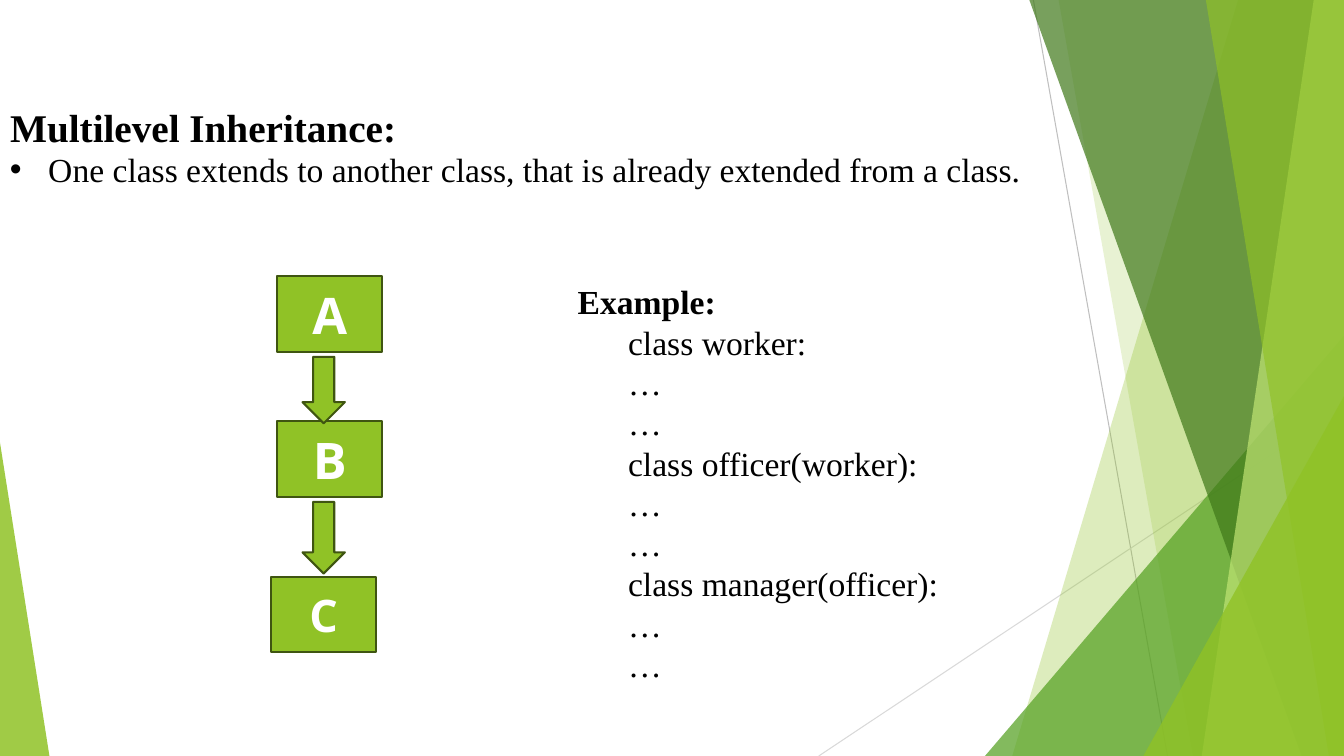
"""Build the multilevel inheritance slide, with lengths as percentages of its size."""
from dataclasses import dataclass

from lxml.etree import SubElement
from pptx import Presentation
from pptx.dml.color import RGBColor
from pptx.enum.shapes import MSO_CONNECTOR, MSO_SHAPE
from pptx.enum.text import MSO_ANCHOR, MSO_AUTO_SIZE, PP_ALIGN
from pptx.oxml.ns import qn
from pptx.util import Inches, Pt

WIDTH, HEIGHT = Inches(13.33), Inches(7.5)


@dataclass(frozen=True)
class Theme:
    leaf: str = "90C226"
    grass: str = "54A021"
    forest: str = "3F7819"
    lime: str = "C0E474"
    outline: str = "3F5511"
    ink: str = "000000"
    paper: str = "FFFFFF"
    serif: str = "Times New Roman"
    sans: str = "Noto Sans"
    heading: int = 28
    body: int = 24
    letter: int = 36
    small_letter: int = 32
    hairline: float = 0.75
    border: float = 1.5


@dataclass(frozen=True)
class Area:
    left: float
    top: float
    width: float
    height: float

    def emu(self) -> tuple:
        return (across(self.left), down(self.top), across(self.width), down(self.height))


@dataclass(frozen=True)
class Ray:
    start: tuple
    end: tuple
    color: str


@dataclass(frozen=True)
class Facet:
    top_x: float
    bottom_x: float
    color: str
    opacity: int


@dataclass(frozen=True)
class Wedge:
    area: Area
    peak: float
    color: str
    opacity: int


@dataclass(frozen=True)
class ClassBox:
    letter: str
    left: float
    top: float
    size: int


THEME = Theme()
RAYS = (
    Ray((76.89, 0), (86.87, 100), "BFBFBF"),
    Ray((100, 53.73), (60.92, 100), "D9D9D9"),
)
BACKDROP = (
    Facet(92.12, 75.32, THEME.leaf, 30),
    Facet(78.77, 88.75, THEME.leaf, 20),
    Wedge(Area(73.29, 44.4, 26.71, 55.6), 1, THEME.grass, 72),
    Facet(76.59, 96.85, THEME.forest, 70),
    Facet(97.75, 89.42, THEME.lime, 70),
    Facet(89.72, 98.87, THEME.leaf, 65),
    Wedge(Area(85.07, 52.4, 14.93, 47.6), 1, THEME.leaf, 80),
    Wedge(Area(0, 58.53, 3.68, 41.47), 0, THEME.leaf, 85),
)
CLASS_BOXES = (
    ClassBox("A", 20.63, 36.53, THEME.letter),
    ClassBox("B", 20.63, 55.73, THEME.letter),
    ClassBox("C", 20.18, 76.27, THEME.small_letter),
)
ARROWS = (Area(22.51, 47.2, 3.15, 8.8), Area(22.51, 66.4, 3.15, 9.47))
EXAMPLE_CLASSES = ("class worker:", "class officer(worker):", "class manager(officer):")


def across(share: float) -> int:
    """Turn a percentage of the slide width into a length."""
    return round(WIDTH * share / 100)


def down(share: float) -> int:
    """Turn a percentage of the slide height into a length."""
    return round(HEIGHT * share / 100)


def write(paragraph, text: str, size: int, bold: bool = False,
          font: str = THEME.serif, color: str = THEME.ink) -> None:
    """Add one formatted run to a paragraph."""
    run = paragraph.add_run()
    run.text = text
    run.font.name, run.font.size, run.font.bold = font, Pt(size), bold
    run.font.color.rgb = RGBColor.from_string(color)


def paint(shape, color: str, opacity: int = 100, outlined: bool = False) -> None:
    """Give a shape its fill, opacity and border."""
    shape.shadow.inherit = False
    shape.fill.solid()
    shape.fill.fore_color.rgb = RGBColor.from_string(color)
    if opacity < 100:
        tint = shape._element.spPr.find(f".//{qn('a:srgbClr')}")
        SubElement(tint, qn("a:alpha"), val=str(opacity * 1000))
    if outlined:
        shape.line.color.rgb = RGBColor.from_string(THEME.outline)
        shape.line.width = Pt(THEME.border)
    else:
        shape.line.fill.background()


def draw_ray(slide, ray: Ray) -> None:
    """Draw a thin backdrop line."""
    (x1, y1), (x2, y2) = ray.start, ray.end
    line = slide.shapes.add_connector(
        MSO_CONNECTOR.STRAIGHT, across(x1), down(y1), across(x2), down(y2))
    line.line.color.rgb = RGBColor.from_string(ray.color)
    line.line.width = Pt(THEME.hairline)
    SubElement(line._element.spPr, qn("a:effectLst"))


def draw_backdrop(slide, part: Facet | Wedge) -> None:
    """Draw a translucent facet or wedge."""
    if isinstance(part, Facet):
        outline = slide.shapes.build_freeform(across(part.top_x), 0)
        outline.add_line_segments(
            [(WIDTH, 0), (WIDTH, HEIGHT), (across(part.bottom_x), HEIGHT)])
        shape = outline.convert_to_shape()
    else:
        shape = slide.shapes.add_shape(MSO_SHAPE.ISOSCELES_TRIANGLE, *part.area.emu())
        shape.adjustments[0] = part.peak
    paint(shape, part.color, part.opacity)


def draw_class_box(slide, box: ClassBox) -> None:
    """Draw one lettered class of the hierarchy."""
    shape = slide.shapes.add_shape(
        MSO_SHAPE.RECTANGLE, *Area(box.left, box.top, 7.8, 10).emu())
    paint(shape, THEME.leaf, outlined=True)
    shape.text_frame.vertical_anchor = MSO_ANCHOR.MIDDLE
    paragraph = shape.text_frame.paragraphs[0]
    paragraph.alignment = PP_ALIGN.CENTER
    write(paragraph, box.letter, box.size, True, THEME.sans, THEME.paper)


def draw_arrow(slide, area: Area) -> None:
    """Draw an arrow between two classes."""
    paint(slide.shapes.add_shape(MSO_SHAPE.DOWN_ARROW, *area.emu()), THEME.leaf, outlined=True)


def add_heading(slide) -> None:
    """Fill the title and the bulleted definition below it."""
    title = slide.shapes.title
    title.left, title.top, title.width, title.height = Area(0, 13.6, 75, 6).emu()
    frame = title.text_frame
    frame.auto_size, frame.vertical_anchor = MSO_AUTO_SIZE.NONE, MSO_ANCHOR.TOP
    frame.margin_top = frame.margin_bottom = 0
    frame.paragraphs[0].alignment = PP_ALIGN.LEFT
    write(frame.paragraphs[0], "Multilevel Inheritance:", THEME.heading, True)

    definition = slide.shapes.add_textbox(*Area(0, 19.05, 81, 7).emu()).text_frame
    definition.word_wrap = True
    bullet = definition.paragraphs[0]
    properties = bullet._p.get_or_add_pPr()
    properties.set("marL", str(Inches(0.38)))
    properties.set("indent", str(-Inches(0.38)))
    SubElement(properties, qn("a:buFont"), typeface="Arial")
    SubElement(properties, qn("a:buChar"), char="•")
    write(bullet, "One class extends to another class, that is already extended from a class.",
          THEME.body)


def add_example(slide) -> None:
    """Write the indented class example."""
    frame = slide.shapes.add_textbox(*Area(42.24, 36.53, 38.71, 60.53).emu()).text_frame
    frame.word_wrap = True
    write(frame.paragraphs[0], "Example:", THEME.body, True)
    for declaration in EXAMPLE_CLASSES:
        for text in (declaration, "…", "…"):
            paragraph = frame.add_paragraph()
            paragraph.level = 1
            paragraph._p.get_or_add_pPr().set("marL", str(Inches(0.5)))
            write(paragraph, text, THEME.body)


def main() -> None:
    """Assemble and save the slide."""
    deck = Presentation()
    deck.slide_width, deck.slide_height = WIDTH, HEIGHT
    slide = deck.slides.add_slide(deck.slide_layouts.get_by_name("Title Only"))
    for draw, parts in ((draw_ray, RAYS), (draw_backdrop, BACKDROP),
                        (draw_class_box, CLASS_BOXES), (draw_arrow, ARROWS)):
        for part in parts:
            draw(slide, part)
    add_heading(slide)
    add_example(slide)
    deck.save("out.pptx")


if __name__ == "__main__":
    main()
